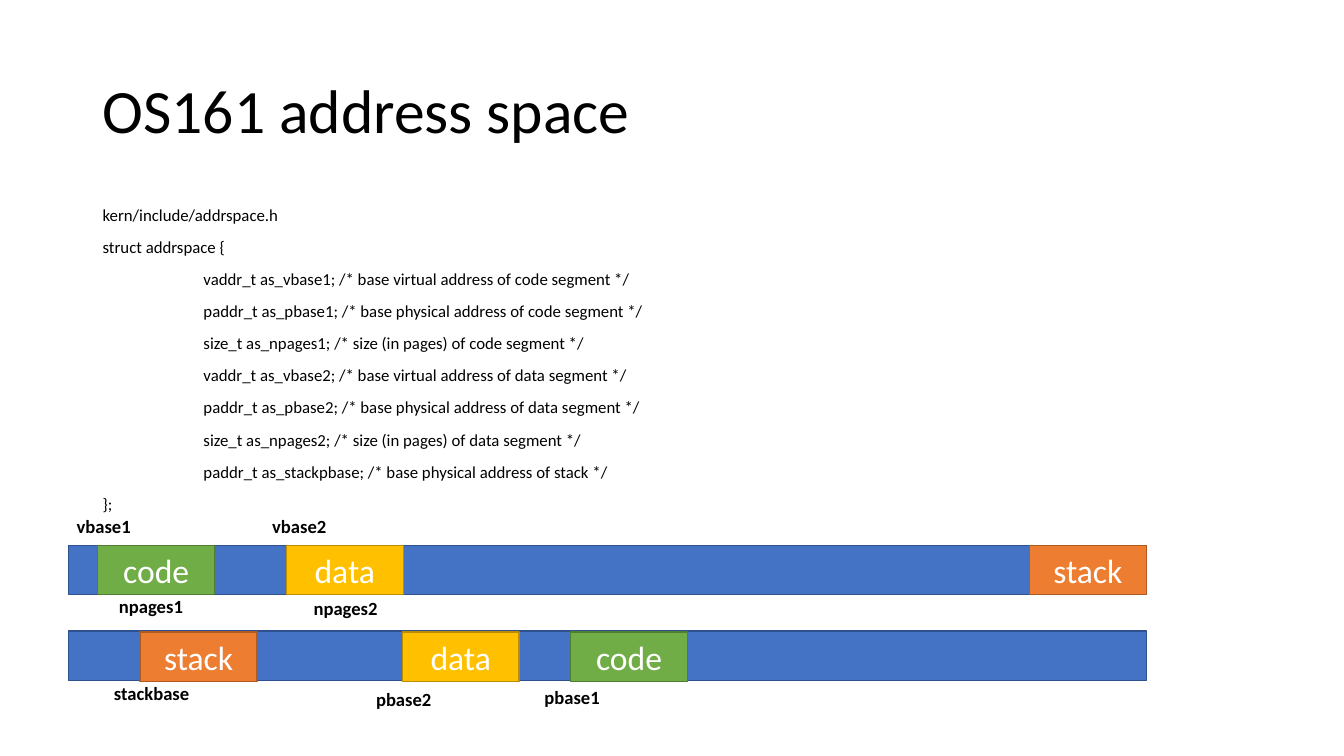
import dataclasses
import pptx
import pptx.dml.color
import pptx.enum.shapes
import pptx.enum.text
import pptx.util

Inches = pptx.util.Inches
Pt = pptx.util.Pt
Anchor = pptx.enum.text.MSO_ANCHOR
Align = pptx.enum.text.PP_ALIGN


@dataclasses.dataclass(frozen=True)
class Theme:
    font: str = "Calibri"
    ink: str = "000000"
    white: str = "FFFFFF"
    space: tuple = ("4472C4", "2F528F")
    code: tuple = ("70AD47", "507E32")
    data: tuple = ("FFC000", "BC8C00")
    stack: tuple = ("ED7D31", "AE5A21")
    title: float = 44
    body: float = 12
    block: float = 24
    label: float = 13.3


THEME = Theme()
LEFT, WIDE, TALL, BLOCK = 0.68, 10.69, 0.49, 1.16

FIELDS = [
    "vaddr_t as_vbase1; /* base virtual address of code segment */",
    "paddr_t as_pbase1; /* base physical address of code segment */",
    "size_t as_npages1; /* size (in pages) of code segment */",
    "vaddr_t as_vbase2; /* base virtual address of data segment */",
    "paddr_t as_pbase2; /* base physical address of data segment */",
    "size_t as_npages2; /* size (in pages) of data segment */",
    "paddr_t as_stackpbase; /* base physical address of stack */",
]
STRUCT = [
    ("kern/include/addrspace.h", 0),
    ("struct addrspace {", 0),
    *[(field, 1) for field in FIELDS],
    ("};", 0),
]
BARS = [
    (5.41, 5.41, [("code", 0.97), ("data", 2.84), ("stack", 10.21)]),
    (6.26, 6.27, [("stack", 1.39), ("data", 3.99), ("code", 5.66)]),
]
LABELS = [
    ("vbase1", 0.59, 5.04, 0.86),
    ("vbase2", 2.53, 5.04, 0.86),
    ("npages1", 1.01, 5.83, 0.96),
    ("npages2", 2.94, 5.85, 0.96),
    ("pbase1", 5.23, 6.73, 0.87),
    ("pbase2", 3.56, 6.75, 0.87),
    ("stackbase", 0.96, 6.69, 1.08),
]


def color(code):
    """Turn a hex code into a colour."""
    return pptx.dml.color.RGBColor.from_string(code)


def write(frame, lines, *, size, ink=THEME.ink, bold=False, align=Align.LEFT,
          anchor=Anchor.TOP, wrap=True, pad=(0.1, 0.05, 0.1, 0.05),
          space=1.0, before=0):
    """Fill a text frame with (text, indent in inches) lines."""
    frame.word_wrap = wrap
    frame.vertical_anchor = anchor
    (frame.margin_left, frame.margin_top,
     frame.margin_right, frame.margin_bottom) = map(Inches, pad)
    for index, (text, indent) in enumerate(lines):
        para = frame.add_paragraph() if index else frame.paragraphs[0]
        para.alignment = align
        para.line_spacing = space
        para.space_before = Pt(before)
        if indent:
            para._p.get_or_add_pPr().set("marL", str(Inches(indent)))
        run = para.add_run()
        run.text = text
        run.font.name = THEME.font
        run.font.size = Pt(size)
        run.font.bold = bold
        run.font.color.rgb = color(ink)


def add_text(slide, box, lines, **style):
    """Add a text box and return its frame."""
    frame = slide.shapes.add_textbox(*map(Inches, box)).text_frame
    write(frame, lines, **style)
    return frame


def add_rect(slide, left, top, width, paint):
    """Add a bar or block with its fill and edge colours."""
    rect = slide.shapes.add_shape(
        pptx.enum.shapes.MSO_SHAPE.RECTANGLE,
        *map(Inches, (left, top, width, TALL)))
    rect.shadow.inherit = False
    rect.fill.solid()
    rect.fill.fore_color.rgb = color(paint[0])
    rect.line.color.rgb = color(paint[1])
    rect.line.width = Pt(1)
    return rect


def add_block(slide, name, left, top):
    """Add a named memory segment."""
    rect = add_rect(slide, left, top, BLOCK, getattr(THEME, name))
    write(rect.text_frame, [(name, 0)], size=THEME.block, ink=THEME.white,
          align=Align.CENTER, anchor=Anchor.MIDDLE,
          pad=(0.13, 0.07, 0.13, 0.07))


def add_label(slide, text, left, top, width):
    """Add a bold caption beside a segment."""
    frame = add_text(slide, (left, top, width, 0.36), [(text, 0)],
                     size=THEME.label, bold=True, wrap=False,
                     pad=(0.17, 0.07, 0.13, 0.07))
    frame.auto_size = pptx.enum.text.MSO_AUTO_SIZE.SHAPE_TO_FIT_TEXT


def main():
    """Build and save the address space slide."""
    deck = pptx.Presentation()
    deck.slide_width, deck.slide_height = Inches(13.33), Inches(7.5)
    slide = deck.slides.add_slide(deck.slide_layouts[6])
    add_text(slide, (0.92, 0.4, 11.5, 1.45), [("OS161 address space", 0)],
             size=THEME.title, anchor=Anchor.MIDDLE, space=0.9)
    add_text(slide, (0.92, 2, 11.5, 4.76), STRUCT,
             size=THEME.body, space=0.9, before=10)
    for top, level, blocks in BARS:
        add_rect(slide, LEFT, top, WIDE, THEME.space)
        for name, left in blocks:
            add_block(slide, name, left, level)
    for label in LABELS:
        add_label(slide, *label)
    deck.save("out.pptx")


if __name__ == "__main__":
    main()
